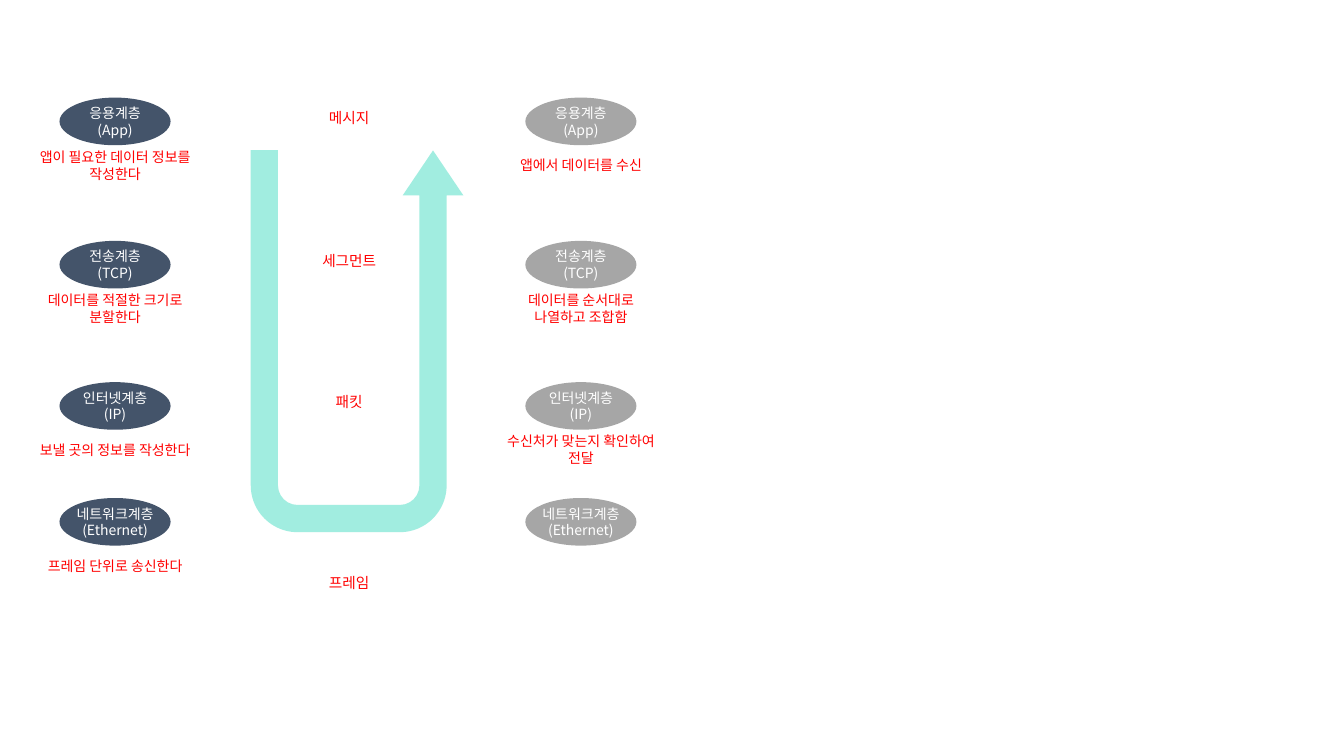
from dataclasses import dataclass

from lxml import etree
from pptx import Presentation
from pptx.dml.color import RGBColor
from pptx.enum.shapes import MSO_SHAPE
from pptx.enum.text import MSO_ANCHOR, PP_ALIGN
from pptx.oxml.ns import qn
from pptx.util import Cm, Pt

ELLIPSE = MSO_SHAPE.OVAL
U_TURN = MSO_SHAPE.U_TURN_ARROW
MIDDLE = MSO_ANCHOR.MIDDLE
CENTER = PP_ALIGN.CENTER


@dataclass(frozen=True)
class Theme:
    font: str = "Noto Sans CJK KR"
    sender: str = "44546A"
    receiver: str = "A6A6A6"
    arrow: str = "15D3B2"
    arrow_alpha: int = 40
    on_layer: str = "FFFFFF"
    note: str = "FF0000"
    body_size: float = 10
    unit_size: float = 10.5


THEME = Theme()

ROW_TOPS = (2.46, 6.07, 9.63, 12.55)
LAYERS = ("응용계층\v(App)", "전송계층\v(TCP)", "인터넷계층\v(IP)", "네트워크계층\v(Ethernet)")
SENDER_NOTES = (
    "앱이 필요한 데이터 정보를 작성한다",
    "데이터를 적절한 크기로 분할한다",
    "보낼 곳의 정보를 작성한다",
    "프레임 단위로 송신한다",
)
RECEIVER_NOTES = (
    "앱에서 데이터를 수신",
    "데이터를 순서대로 나열하고 조합함",
    "수신처가 맞는지 확인하여 전달",
)
DATA_UNITS = ("메시지", "세그먼트", "패킷", "프레임")
UNIT_TOPS = (*ROW_TOPS[:3], 14.17)

SENDER_X, UNIT_X, RECEIVER_X = 2.9, 8.8, 14.64
LAYER_W, LAYER_H = 2.8, 1.2
NOTE_W, UNIT_W, LABEL_H = 4.5, 2, 1


def write(tf, text, size, color):
    tf.word_wrap = True
    tf.vertical_anchor = MIDDLE
    tf.text = text
    p = tf.paragraphs[0]
    p.alignment = CENTER
    for r in p.runs:
        r.font.size = Pt(size)
        r.font.color.rgb = RGBColor.from_string(color)
        r.font.name = THEME.font
        ea = etree.SubElement(r.font._element, qn("a:ea"))
        ea.set("typeface", THEME.font)


def add_filled(s, kind, x, y, w, h, color):
    sp = s.shapes.add_shape(kind, Cm(x), Cm(y), Cm(w), Cm(h))
    sp.shadow.inherit = False
    sp.fill.solid()
    sp.fill.fore_color.rgb = RGBColor.from_string(color)
    sp.line.fill.background()
    return sp


def add_layer(s, center, top, text, color):
    sp = add_filled(s, ELLIPSE, center - LAYER_W / 2, top, LAYER_W, LAYER_H, color)
    tf = sp.text_frame
    tf.margin_left = tf.margin_right = tf.margin_top = tf.margin_bottom = 0
    write(tf, text, THEME.body_size, THEME.on_layer)


def add_label(s, center, top, width, text, size):
    sp = s.shapes.add_textbox(Cm(center - width / 2), Cm(top), Cm(width), Cm(LABEL_H))
    write(sp.text_frame, text, size, THEME.note)


def add_flow_arrow(s):
    sp = add_filled(s, U_TURN, 6.32, 3.78, 5.36, 9.63, THEME.arrow)
    for i, value in enumerate((0.128, 0.143, 0.212, 0.22, 0.999)):
        sp.adjustments[i] = value
    sp.rotation = 180
    sp._element.spPr.find(qn("a:xfrm")).set("flipH", "1")
    color = sp._element.spPr.find(qn("a:solidFill"))[0]
    etree.SubElement(color, qn("a:alpha")).set("val", str(THEME.arrow_alpha * 1000))


def add_stack(s, center, color, notes):
    for top, layer in zip(ROW_TOPS, LAYERS):
        add_layer(s, center, top, layer, color)
    for top, note in zip(ROW_TOPS, notes):
        add_label(s, center, top + LAYER_H, NOTE_W, note, THEME.body_size)


def main():
    prs = Presentation()
    prs.slide_width, prs.slide_height = Cm(33.87), Cm(19.05)
    s = prs.slides.add_slide(prs.slide_layouts[6])
    add_flow_arrow(s)
    for top, unit in zip(UNIT_TOPS, DATA_UNITS):
        add_label(s, UNIT_X, top, UNIT_W, unit, THEME.unit_size)
    add_stack(s, SENDER_X, THEME.sender, SENDER_NOTES)
    add_stack(s, RECEIVER_X, THEME.receiver, RECEIVER_NOTES)
    prs.save("out.pptx")


if __name__ == "__main__":
    main()
